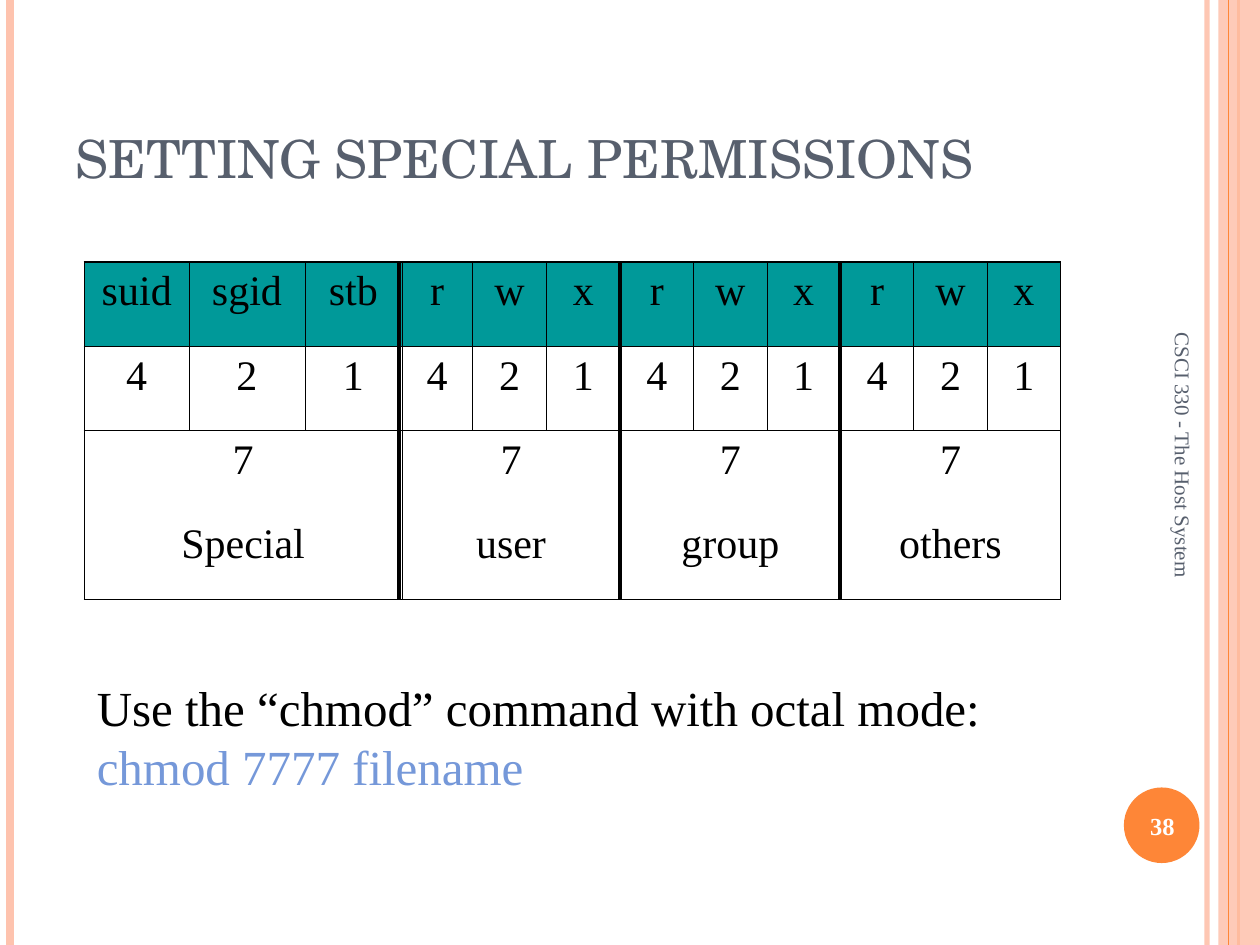
from dataclasses import dataclass

from lxml.etree import SubElement
from pptx import Presentation
from pptx.dml.color import RGBColor
from pptx.enum.shapes import MSO_CONNECTOR as Connector, MSO_SHAPE as Shape
from pptx.enum.text import MSO_ANCHOR as Anchor, MSO_AUTO_SIZE as Fit, PP_ALIGN as Align
from pptx.oxml.ns import qn
from pptx.util import Inches, Pt

WIDTH, HEIGHT = 10, 7.5


@dataclass(frozen=True)
class Theme:
    heading_font: str = "TeX Gyre Schola"
    body_font: str = "Times New Roman"
    ink: str = "000000"
    muted: str = "575F6D"
    light: str = "FFFFFF"
    orange: str = "FE8637"
    peach: str = "FEC3AE"
    teal: str = "009999"
    command: str = "7598D9"
    title_size: int = 30
    body_size: int = 28
    cell_size: int = 24
    number_size: int = 14
    footer_size: int = 12
    outer_border: float = 1.08
    inner_border: float = 0.45
    divider: float = 2.25


THEME = Theme()

# Permission table: left, top, row height and column widths
LEFT, TOP, ROW = 0.67, 2.08, 0.67
TABLE_WIDTH = 7.75
LEAD_COLUMNS = [0.83, 0.92, 0.77, 0.56, 0.59]
OTHER_COUNT = 7
COLUMNS = LEAD_COLUMNS + [(TABLE_WIDTH - sum(LEAD_COLUMNS)) / OTHER_COUNT] * OTHER_COUNT
BITS = ["suid", "sgid", "stb"] + ["r", "w", "x"] * 3
VALUES = ["4", "2", "1"] * 4
OWNERS = ["Special", "user", "group", "others"]
FIRST_DIVIDER, DIVIDER_STEP = 3.17, 1.75


def color(code):
    return RGBColor.from_string(code)


def set_alpha(owner, percent):
    """Make the solid colour found in an XML element partly transparent."""
    rgb = next(owner.iter(qn("a:srgbClr")))
    SubElement(rgb, qn("a:alpha")).set("val", str(percent * 1000))


def write(paragraph, text, size, ink, font=THEME.body_font, bold=False, align=Align.LEFT):
    paragraph.alignment = align
    run = paragraph.add_run()
    run.text = text
    run.font.name = font
    run.font.size = Pt(size)
    run.font.bold = bold
    run.font.color.rgb = color(ink)


def add_rule(slide, x, ink, weight, top=0, bottom=HEIGHT, alpha=None):
    """Draw a vertical line."""
    rule = slide.shapes.add_connector(
        Connector.STRAIGHT, Inches(x), Inches(top), Inches(x), Inches(bottom))
    rule.line.color.rgb = color(ink)
    rule.line.width = Pt(weight)
    properties = rule._element.spPr
    if alpha:
        set_alpha(properties, alpha)
    SubElement(properties, qn("a:effectLst"))


def add_plain_shape(slide, kind, box, fill, alpha=None):
    shape = slide.shapes.add_shape(kind, *map(Inches, box))
    shape.shadow.inherit = False
    shape.fill.solid()
    shape.fill.fore_color.rgb = color(fill)
    shape.line.fill.background()
    if alpha:
        set_alpha(shape._element.spPr, alpha)


def add_label(slide, box, anchor=Anchor.MIDDLE, rotation=0):
    label = slide.shapes.add_textbox(*map(Inches, box))
    label.rotation = rotation
    label.text_frame.word_wrap = True
    label.text_frame.vertical_anchor = anchor
    return label.text_frame


def set_borders(cell, widths):
    """Set left, right, top and bottom borders; zero means no line."""
    properties = cell._tc.get_or_add_tcPr()
    for side, width in zip("LRTB", widths):
        line = SubElement(properties, qn(f"a:ln{side}"), w=str(int(Pt(width))))
        if width:
            paint = SubElement(line, qn("a:solidFill"))
            SubElement(paint, qn("a:srgbClr"), val=THEME.ink)
        else:
            SubElement(line, qn("a:noFill"))


def add_permission_table(slide):
    last_column = len(COLUMNS) - 1
    rows = [BITS, VALUES, ["7"] * len(OWNERS), OWNERS]
    table = slide.shapes.add_table(
        len(rows), len(COLUMNS), Inches(LEFT), Inches(TOP),
        Inches(TABLE_WIDTH), Inches(ROW * len(rows))).table
    table.first_row = table.horz_banding = False
    for column, width in zip(table.columns, COLUMNS):
        column.width = Inches(width)

    outer, inner = THEME.outer_border, THEME.inner_border
    tops = [outer, inner, inner, 0]
    bottoms = [inner, inner, 0, outer]
    for r, texts in enumerate(rows):
        table.rows[r].height = Inches(ROW)
        span = len(COLUMNS) // len(texts)
        for c in range(len(COLUMNS)):
            cell = table.cell(r, c)
            start = c - c % span
            end = start + span - 1
            set_borders(cell, (outer if start == 0 else inner,
                               outer if end == last_column else inner,
                               tops[r], bottoms[r]))
            if r == 0:
                cell.fill.solid()
                cell.fill.fore_color.rgb = color(THEME.teal)
            else:
                cell.fill.background()
            if c == start:
                if span > 1:
                    cell.merge(table.cell(r, end))
                write(cell.text_frame.paragraphs[0], texts[c // span],
                      THEME.cell_size, THEME.ink, align=Align.CENTER)

    # Heavy lines between the permission groups
    for i in range(len(OWNERS) - 1):
        add_rule(slide, FIRST_DIVIDER + i * DIVIDER_STEP, THEME.ink, THEME.divider,
                 TOP, TOP + ROW * len(rows))


def add_side_bands(slide):
    add_rule(slide, 9.58, THEME.peach, 3, alpha=93)
    add_rule(slide, 0.08, THEME.peach, 4.5)
    add_rule(slide, 9.83, THEME.orange, 1.5)
    add_plain_shape(slide, Shape.RECTANGLE, (9.67, 0, 0.33, HEIGHT), THEME.peach, alpha=87)
    add_rule(slide, 9.75, THEME.orange, 0.75)


def add_title(slide, text):
    title = slide.shapes.title
    title.left, title.top, title.width, title.height = map(Inches, (0.5, 0.3, 8.17, 1.25))
    frame = title.text_frame
    frame.auto_size = Fit.NONE
    frame.vertical_anchor = Anchor.BOTTOM
    write(frame.paragraphs[0], text, THEME.title_size, THEME.muted, THEME.heading_font)


def add_page_marks(slide):
    add_plain_shape(slide, Shape.OVAL, (8.92, 6.25, 0.6, 0.6), THEME.orange)
    number = add_label(slide, (8.89, 6.27, 0.67, 0.57))
    write(number.paragraphs[0], "38", THEME.number_size, THEME.light,
          bold=True, align=Align.CENTER)
    footer = add_label(slide, (7.64, 4.09, 3.5, 0.4), rotation=90)
    write(footer.paragraphs[0], "CSCI 330 - The Host System", THEME.footer_size, THEME.muted)


def add_usage(slide):
    usage = add_label(slide, (LEFT, 5.33, 7.92, 1.04), Anchor.TOP)
    usage.auto_size = Fit.SHAPE_TO_FIT_TEXT
    write(usage.paragraphs[0], "Use the “chmod” command with octal mode:",
          THEME.body_size, THEME.ink)
    write(usage.add_paragraph(), "chmod 7777 filename", THEME.body_size, THEME.command)


def main():
    deck = Presentation()
    deck.slide_width, deck.slide_height = Inches(WIDTH), Inches(HEIGHT)
    slide = deck.slides.add_slide(deck.slide_layouts.get_by_name("Title Only"))
    add_side_bands(slide)
    add_title(slide, "SETTING SPECIAL PERMISSIONS")
    add_page_marks(slide)
    add_usage(slide)
    add_permission_table(slide)
    deck.save("out.pptx")


if __name__ == "__main__":
    main()
